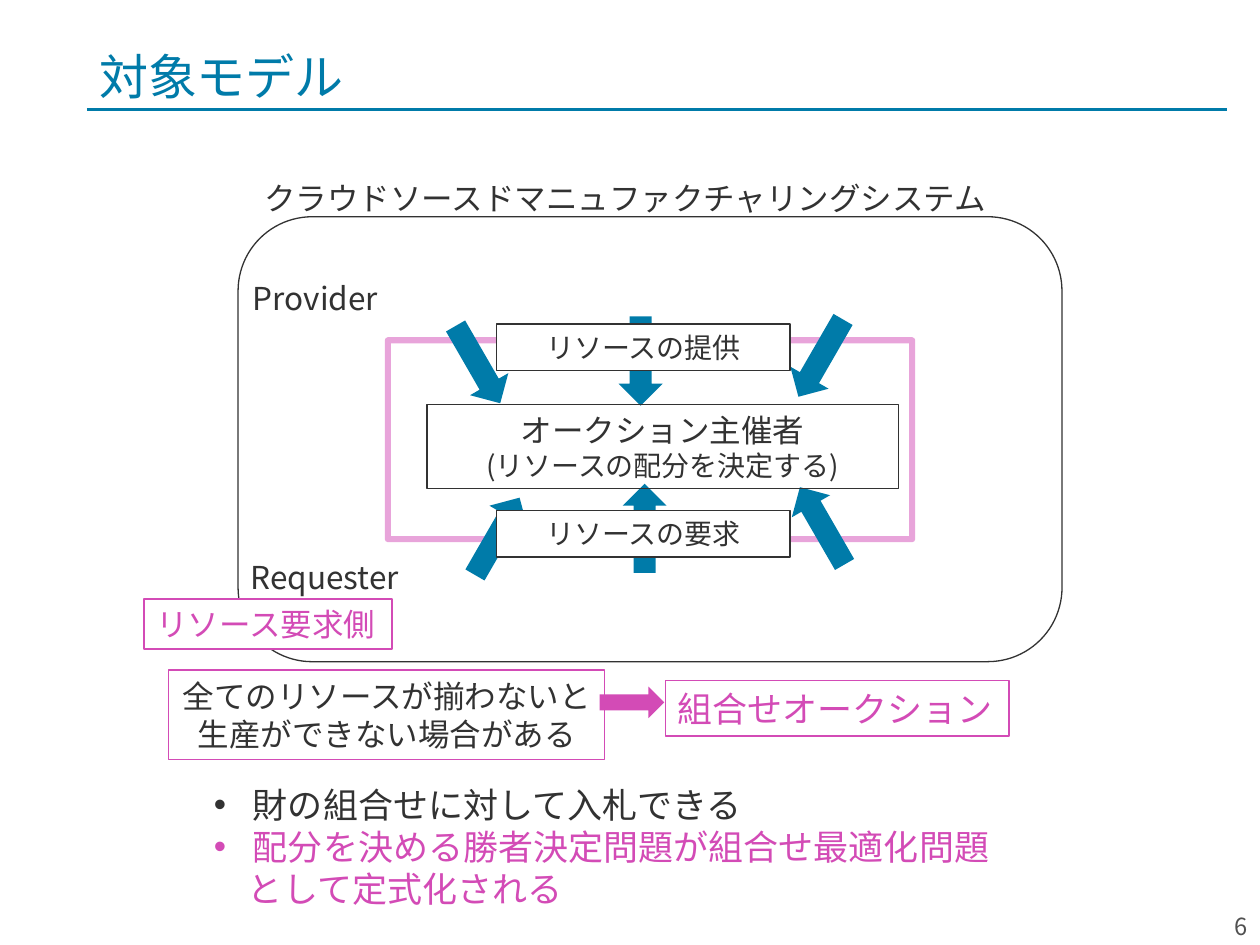
from dataclasses import dataclass

from pptx import Presentation
from pptx import util as u
from pptx.dml.color import RGBColor
from pptx.enum import shapes, text
from pptx.oxml import parse_xml
from pptx.oxml.ns import nsdecls, qn

SHAPE = shapes.MSO_SHAPE
ALIGN = text.PP_ALIGN
ANCHOR = text.MSO_ANCHOR


@dataclass(frozen=True)
class Theme:
    blue: str = "007BA9"
    pink: str = "D34BB6"
    ink: str = "323232"
    grey: str = "505050"
    white: str = "FFFFFF"
    font: str = "Noto Sans CJK JP"
    title_font: str = "Noto Sans CJK SC"
    title: float = 28
    large: float = 20
    body: float = 18
    small: float = 16
    page: float = 13.5


THEME = Theme()


def write(p, content, size=THEME.body, color=THEME.ink, font=THEME.font,
          align=ALIGN.LEFT, bullet=False, indent=0, spacing=1.2):
    """Fill a paragraph; spacing is a multiple of the type size, indent is in cm."""
    pPr = p._p.get_or_add_pPr()
    pPr.set("marL", str(u.Cm(indent)))
    pPr.set("indent", str(-u.Cm(indent) if bullet else 0))
    p.alignment = align
    p.line_spacing = u.Pt(size * spacing)
    if bullet:
        pPr.append(parse_xml(f'<a:buFont {nsdecls("a")} typeface="Arial"/>'))
        pPr.append(parse_xml(f'<a:buChar {nsdecls("a")} char="•"/>'))
    r = p.add_run()
    r.text = content
    r.font.size = u.Pt(size)
    r.font.color.rgb = RGBColor.from_string(color)
    r.font.name = font
    r._r.rPr.find(qn("a:latin")).addnext(
        parse_xml(f'<a:ea {nsdecls("a")} typeface="{font}"/>'))


class SlideBuilder:
    def __init__(self, prs, theme):
        self.theme = theme
        self.s = prs.slides.add_slide(prs.slide_layouts[6])

    def _fill_text(self, sp, lines, anchor, wrap, **fmt):
        """Each line is a string or a (string, own format) pair."""
        tf = sp.text_frame
        tf.word_wrap = wrap
        tf.vertical_anchor = anchor
        for i, line in enumerate(lines):
            content, own = (line, {}) if isinstance(line, str) else line
            p = tf.paragraphs[0] if i == 0 else tf.add_paragraph()
            write(p, content, **{**fmt, **own})

    def label(self, box, *lines, anchor=ANCHOR.MIDDLE, wrap=True, **fmt):
        sp = self.s.shapes.add_textbox(*map(u.Cm, box))
        self._fill_text(sp, lines, anchor, wrap, **fmt)

    def shape(self, kind, box, fill=None, line=None, width=0.75, rotation=0):
        sp = self.s.shapes.add_shape(kind, *map(u.Cm, box))
        sp.shadow.inherit = False
        sp.rotation = rotation
        if fill:
            sp.fill.solid()
            sp.fill.fore_color.rgb = RGBColor.from_string(fill)
        else:
            sp.fill.background()
        if line:
            sp.line.color.rgb = RGBColor.from_string(line)
            sp.line.width = u.Pt(width)
        else:
            sp.line.fill.background()
        return sp

    def text_box(self, box, *lines, fill=None, line=THEME.ink, width=0.75,
                 wrap=True, **fmt):
        sp = self.shape(SHAPE.RECTANGLE, box, fill, line, width)
        self._fill_text(sp, lines, ANCHOR.MIDDLE, wrap, **fmt)

    def translucent_frame(self, box, color, width, opacity):
        sp = self.shape(SHAPE.RECTANGLE, box, line=color, width=width)
        clr = sp.line._ln.find(".//" + qn("a:srgbClr"))
        clr.append(parse_xml(
            f'<a:alpha {nsdecls("a")} val="{opacity * 1000}"/>'))

    def rule(self, left, right, y, color, width):
        c = self.s.shapes.add_connector(
            shapes.MSO_CONNECTOR.STRAIGHT, *map(u.Cm, (left, y, right, y)))
        c.line.color.rgb = RGBColor.from_string(color)
        c.line.width = u.Pt(width)
        c._element.spPr.append(parse_xml(f'<a:effectLst {nsdecls("a")}/>'))


def main():
    prs = Presentation()
    prs.slide_width, prs.slide_height = u.Cm(25.4), u.Cm(19.05)
    t = THEME
    b = SlideBuilder(prs, t)

    b.rule(1.75, 24.74, 2.21, t.blue, 1.5)
    b.label((23.85, 18.29, 1.55, 0.76), "6", size=t.page, color=t.grey,
            align=ALIGN.RIGHT)
    b.label((1.75, 0.69, 21.89, 1.55), "対象モデル", size=t.title,
            color=t.blue, font=t.title_font, anchor=ANCHOR.BOTTOM)

    b.translucent_frame((7.82, 6.86, 10.57, 4.01), t.pink, 3.5, 50)
    b.label((4.85, 5.49, 4.75, 1.02), "Provider")
    b.label((4.8, 11.13, 3.63, 1.02), "Requester")

    for left, top, rotation in ((9.58, 9.91, 210), (16.13, 9.7, 150),
                                (9.19, 6.45, 330), (16.1, 6.32, 30),
                                (12.47, 6.38, 0), (12.55, 9.75, 180)):
        b.shape(SHAPE.DOWN_ARROW, (left, top, 0.89, 1.8), fill=t.blue,
                rotation=rotation)

    b.text_box((8.61, 8.15, 9.5, 1.7), "オークション主催者",
               ("(リソースの配分を決定する)", {"size": t.small}),
               align=ALIGN.CENTER)
    for top, flow in ((6.53, "リソースの提供"), (10.29, "リソースの要求")):
        b.text_box((10.01, top, 5.92, 0.94), flow, fill=t.white, width=1,
                   size=t.small, align=ALIGN.CENTER)

    b.shape(SHAPE.ROUNDED_RECTANGLE, (4.8, 4.37, 16.61, 8.97), line=t.ink)
    b.label((5.08, 3.48, 15.27, 1.02),
            "クラウドソースドマニュファクチャリングシステム", wrap=False)

    b.text_box((3.4, 13.51, 8.79, 1.8), "全てのリソースが揃わないと",
               "生産ができない場合がある", line=t.pink, align=ALIGN.CENTER)
    b.label((4.06, 15.65, 20.78, 2.82),
            ("財の組合せに対して入札できる", {"bullet": True}),
            ("配分を決める勝者決定問題が組合せ最適化問題",
             {"bullet": True, "color": t.pink}),
            ("として定式化される", {"indent": 0.69, "color": t.pink}),
            size=t.large, indent=0.79)
    b.text_box((13.41, 13.72, 6.93, 1.12), "組合せオークション",
               line=t.pink, wrap=False, size=t.large, color=t.pink)
    b.text_box((2.9, 12.07, 5, 1.02), "リソース要求側", fill=t.white,
               line=t.pink, width=1, wrap=False, color=t.pink)
    b.shape(SHAPE.RIGHT_ARROW, (12.09, 13.84, 1.3, 0.64), fill=t.pink)

    prs.save("out.pptx")


if __name__ == "__main__":
    main()
